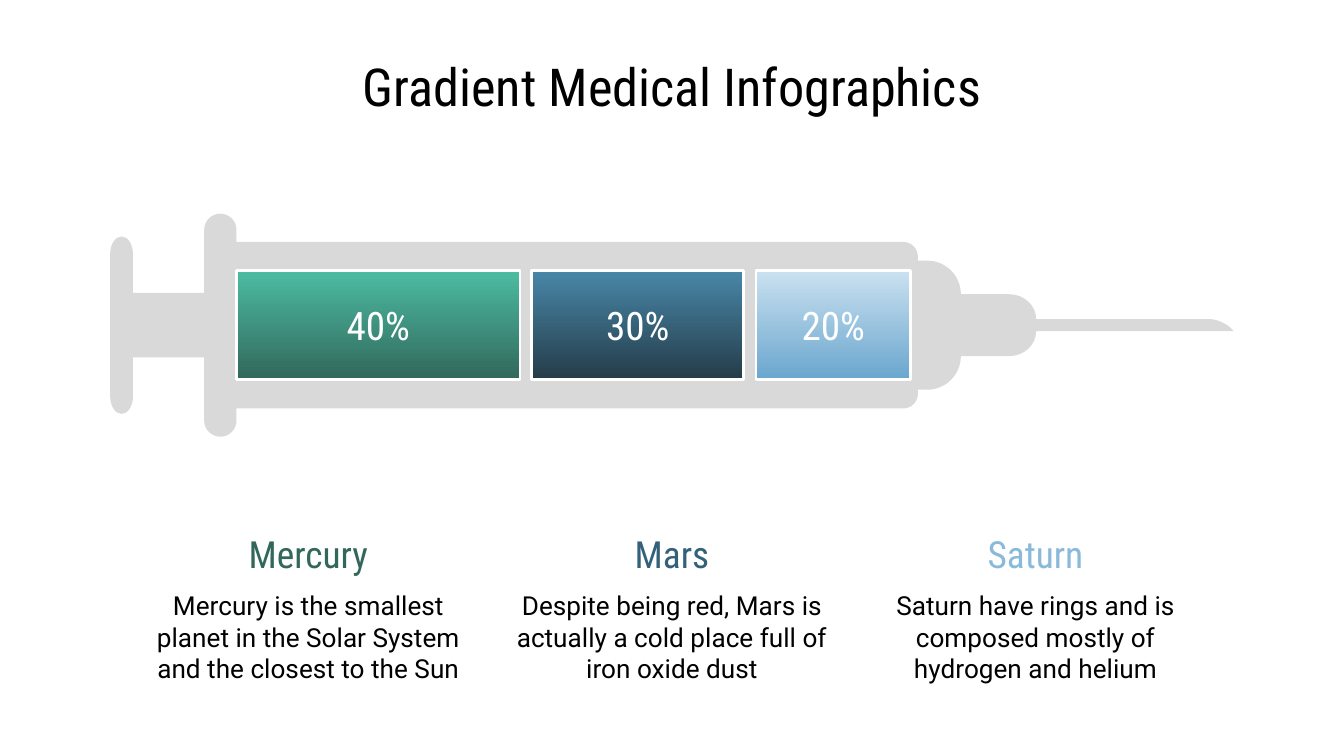
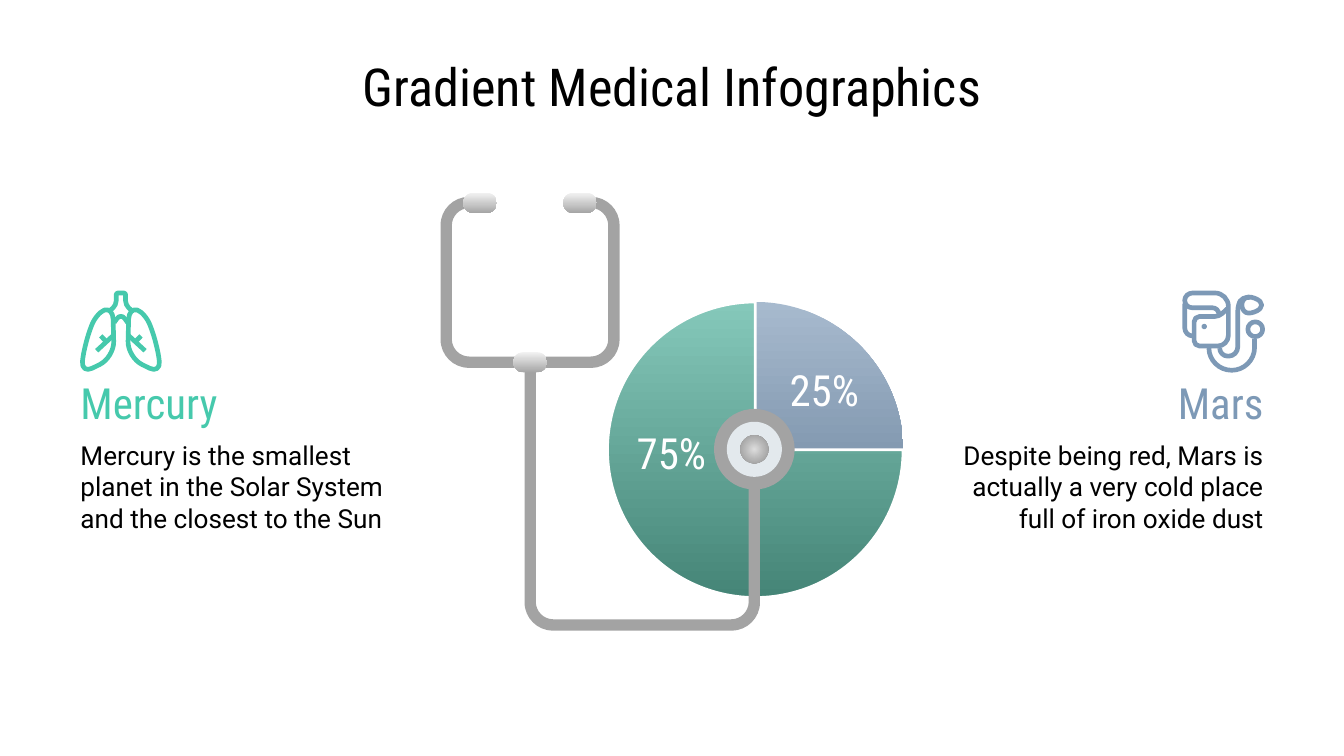
from dataclasses import dataclass
from math import dist

from lxml import etree
from pptx import Presentation
from pptx import util as u
from pptx.dml import color
from pptx.enum import shapes, text
from pptx.oxml import ns


@dataclass(frozen=True)
class Theme:
    heading: str = "Roboto Condensed"
    body: str = "Roboto"
    title_size: int = 28
    topic_size: int = 20
    share_size: int = 21
    large_size: int = 23
    body_size: int = 14
    ink: str = "000000"
    white: str = "FFFFFF"
    syringe: str = "D9D9D9"
    tube: str = "A3A3A3"
    dial: str = "E3E9ED"
    mint: str = "46C9AC"
    steel: str = "7D99B6"
    metal: tuple = ("F2F2F2", "A6A6A6")
    core: tuple = ("DDDDDD", "919191")
    green_pie: tuple = ("85C8BA", "458577")
    blue_pie: tuple = ("A7BACE", "5F7893")


theme = Theme()
CELL = u.Inches(0.1)
COLUMNS, ROWS = 100, 56.25
KIND = shapes.MSO_SHAPE
ALIGN = text.PP_ALIGN
FRAME_FORMAT = {
    "word_wrap": True,
    "vertical_anchor": text.MSO_ANCHOR.MIDDLE,
    "margin_left": CELL,
    "margin_right": CELL,
    "margin_top": CELL,
    "margin_bottom": CELL,
}


def draw(slide, kind, place, fill=None, line=None, weight=1.5, radial=False):
    if kind == "textbox":
        item = slide.shapes.add_textbox(*(round(v * CELL) for v in place))
    elif kind == "outline":
        builder, count, curves = None, 0, []
        for corners in place:
            points = []
            for i, (x, y, radius) in enumerate(corners):
                if not radius:
                    points.append((x, y))
                    continue
                pulls = []
                for nx, ny, rounded in (corners[i - 1], corners[(i + 1) % len(corners)]):
                    edge = dist((x, y), (nx, ny))
                    share = min(radius / edge, 0.5 if rounded else 1)
                    pulls.append(((nx - x) * share, (ny - y) * share))
                before, after = pulls
                curves.append(count + len(points) + 1)
                points += [(x + dx * pull, y + dy * pull) for (dx, dy), pull in
                           ((before, 1), (before, 0.45), (after, 0.45), (after, 1))]
            count += len(points)
            points = [(round(px * CELL), round(py * CELL)) for px, py in points]
            if builder is None:
                builder = slide.shapes.build_freeform(*points[0])
            else:
                builder.move_to(*points[0])
            builder.add_line_segments(points[1:], close=bool(fill or corners[0][2]))
        item = builder.convert_to_shape()
        track = item.element.find(".//" + ns.qn("a:pathLst"))[0]
        steps = [step for step in track if step.tag != ns.qn("a:close")]
        for first in curves:
            bend = etree.Element(ns.qn("a:cubicBezTo"))
            steps[first].addprevious(bend)
            for step in steps[first:first + 3]:
                bend.append(step[0])
                track.remove(step)
    else:
        item = slide.shapes.add_shape(kind, *(round(v * CELL) for v in place))
    item.shadow.inherit = False
    if fill is None:
        item.fill.background()
    elif isinstance(fill, tuple):
        item.fill.gradient()
        item.fill.gradient_angle = 270
        for stop, tone, position in zip(item.fill.gradient_stops, fill, (0, 1)):
            stop.color.rgb = color.RGBColor.from_string(tone)
            stop.position = position
        if radial:
            linear = item.element.find(".//" + ns.qn("a:lin"))
            circle = etree.Element(ns.qn("a:path"), path="circle")
            etree.SubElement(circle, ns.qn("a:fillToRect"),
                             dict.fromkeys("ltrb", "50000"))
            linear.getparent().replace(linear, circle)
    else:
        item.fill.solid()
        item.fill.fore_color.rgb = color.RGBColor.from_string(fill)
    if line:
        item.line.color.rgb = color.RGBColor.from_string(line)
        item.line.width = u.Pt(weight)
    else:
        item.line.fill.background()
    return item


def write(holder, words, font, size, tone, align=ALIGN.CENTER):
    frame = holder.text_frame
    for name, value in FRAME_FORMAT.items():
        setattr(frame, name, value)
    paragraph = frame.paragraphs[0]
    paragraph.alignment = align
    run = paragraph.add_run()
    run.text = words
    for name, value in {"name": font, "size": u.Pt(size)}.items():
        setattr(run.font, name, value)
    run.font.color.rgb = color.RGBColor.from_string(tone)


deck = Presentation()
deck.slide_width = round(COLUMNS * CELL)
deck.slide_height = round(ROWS * CELL)
syringe_slide, stethoscope_slide = [
    deck.slides.add_slide(deck.slide_layouts[6]) for _ in range(2)
]
for slide in (syringe_slide, stethoscope_slide):
    write(draw(slide, "textbox", (20.65, 4.5, 58.7, 3.7)),
          "Gradient Medical Infographics", theme.heading, theme.title_size, theme.ink)

AXIS = 24.2
upper_half = [
    (8.2, 17.6, 1.3), (9.9, 17.6, 1.3), (9.9, 21.8, 0), (15.2, 21.8, 0),
    (15.2, 15.9, 1.2), (17.6, 15.9, 1.2), (17.6, 18, 0), (68.3, 18, 1.1),
    (68.3, 19.4, 0), (71.5, 19.4, 2.5), (71.5, 21.9, 0), (77.1, 21.9, 2),
    (77.1, 23.75, 0),
]
needle = [(91, 23.75, 1), (91.8, 24.65, 0)]
lower_half = [(x, 2 * AXIS - y, radius) for x, y, radius in reversed(upper_half)]
draw(syringe_slide, "outline", [upper_half + needle + lower_half], theme.syringe)

doses = [
    (17.6, 21.1, "40%", ("4CBCA2", "31685B")),
    (39.55, 15.8, "30%", ("4887A8", "253C49")),
    (56.25, 11.5, "20%", ("CAE1F0", "6AA6CE")),
]
for left, width, share, tones in doses:
    dose = draw(syringe_slide, KIND.RECTANGLE, (left, 20.15, width, 8.1), tones, theme.white)
    write(dose, share, theme.heading, theme.share_size, theme.white)

planets = [
    ("Mercury", "31685B",
     "Mercury is the smallest planet in the Solar System and the closest to the Sun"),
    ("Mars", "34617A",
     "Despite being red, Mars is actually a cold place full of iron oxide dust"),
    ("Saturn", "8ABADA",
     "Saturn have rings and is composed mostly of hydrogen and helium"),
]
for index, (planet, tone, fact) in enumerate(planets):
    center = COLUMNS / 2 + 27.05 * (index - 1)
    write(draw(syringe_slide, "textbox", (center - 12.65, 42.97, 25.3, 8.8)),
          fact, theme.body, theme.body_size, theme.ink)
    write(draw(syringe_slide, "textbox", (center - 5.8, 39.54, 11.6, 3.3)),
          planet, theme.heading, theme.topic_size, tone)

pie_area = (45.2, 22.47, 22, 22)
draw(stethoscope_slide, KIND.OVAL, pie_area, theme.blue_pie)
draw(stethoscope_slide, KIND.PIE, pie_area, theme.green_pie, theme.white)

headset, hose = [], []
for offset, bend in ((0.42, 2.1), (-0.42, 1.3)):
    left, top, right, bottom = 33.2 - offset, 15.07 - offset, 45.68 + offset, 26.95 + offset
    headset.append([(34.9, top, 0), (left, top, bend), (left, bottom, bend),
                    (right, bottom, bend), (right, top, bend), (44, top, 0)])
    left, right, bottom = 39.45 - offset, 56.13 + offset, 46.5 + offset
    hose.append([(left, 26.9, 0), (left, bottom, bend), (right, bottom, bend), (right, 33.4, 0)])
for outer, inner in (headset, hose):
    draw(stethoscope_slide, "outline", [outer + inner[::-1]], theme.tube)
for radius, tone in ((3, theme.tube), (2.05, theme.dial), (1.05, theme.core)):
    draw(stethoscope_slide, KIND.OVAL,
         (56.13 - radius, 33.43 - radius, 2 * radius, 2 * radius),
         tone, radial=tone == theme.core)
for left, top in ((38.2, 26.2), (34.47, 14.35), (41.9, 14.35)):
    joint = draw(stethoscope_slide, KIND.ROUNDED_RECTANGLE, (left, top, 2.5, 1.5), theme.metal)
    joint.adjustments[0] = 0.5

for left, top, share in ((46.36, 31.5, "75%"), (57.74, 26.8, "25%")):
    write(draw(stethoscope_slide, "textbox", (left, top, 7.2, 4.3)),
          share, theme.heading, theme.large_size, theme.white)

sides = [
    ("Mercury", theme.mint, ALIGN.LEFT, planets[0][2]),
    ("Mars", theme.steel, ALIGN.RIGHT,
     "Despite being red, Mars is actually a very cold place full of iron oxide dust"),
]
for planet, tone, align, fact in sides:
    for words, top, width, height, font, size, ink in (
        (fact, 32.74, 25.5, 6.9, theme.body, theme.body_size, theme.ink),
        (planet, 28.4, 13.5, 3, theme.heading, theme.large_size, tone),
    ):
        left = 5 if align == ALIGN.LEFT else COLUMNS - 5 - width
        write(draw(stethoscope_slide, "textbox", (left, top, width, height)),
              words, font, size, ink, align)

lobe = [(8.4, 22.85, 0.9), (7.15, 23.3, 1), (6.25, 25.8, 1.5), (6.05, 27.8, 0.9),
        (8.5, 26.6, 1.2)]
bronchus = [(8.5, 24.9, 0), (7.2, 26.1, 0)]
twig = [(7.5, 25, 0), (7.9, 25.4, 0)]
windpipe = [(8.2, 23.1, 0), (8.65, 22.7, 0.3), (8.65, 21.8, 0.1),
            (9.35, 21.8, 0.1), (9.35, 22.7, 0.3), (9.8, 23.1, 0)]
arch = [(8.5, 24, 0), (9, 23.3, 0.5), (9.5, 24, 0)]
half = [lobe, bronchus, twig]
other_half = [[(18 - x, y, radius) for x, y, radius in part] for part in half]
lungs = [*half, *other_half, windpipe, arch]

cuff = [(90.7, 23.5, 0), (90.7, 22.9, 0.5), (88.15, 22.9, 0.55), (88.15, 21.8, 0.6),
        (91.4, 21.8, 1), (91.4, 25.75, 0.8), (88.85, 25.75, 0.4),
        (88.85, 23.55, 0.4), (90.7, 23.55, 0.3), (91.4, 22.9, 0)]
sleeve = [(88.15, 22.6, 0), (88.15, 25, 0.6), (88.8, 25, 0)]
gauge_tube = [(89.95, 25.9, 0), (89.95, 27.55, 1.7), (93.35, 27.55, 1.7), (93.35, 25.2, 0)]
bulb_tube = [(90.75, 25.9, 0), (90.75, 26.5, 0.6), (92.1, 26.5, 0.7),
             (92.1, 22.7, 0.4), (92.45, 22.1, 0.4), (93, 22.15, 0)]
bulb = [(92.4, 22.1, 0.6), (93.4, 22.1, 0.5), (94.05, 22.7, 0.4),
        (93.4, 23.3, 0.5), (92.4, 23.3, 0.6)]
gauge = [(92.85, 23.95, 0.55), (93.95, 23.95, 0.55), (93.95, 25.05, 0.55), (92.85, 25.05, 0.55)]
pressure_kit = [cuff, sleeve, gauge_tube, bulb_tube, bulb, gauge]

for strokes, tone in ((lungs, theme.mint), (pressure_kit, theme.steel)):
    draw(stethoscope_slide, "outline", strokes, line=tone, weight=2.5)
draw(stethoscope_slide, KIND.OVAL, (89.4, 24.1, 0.4, 0.4), theme.steel)

deck.save("out.pptx")
